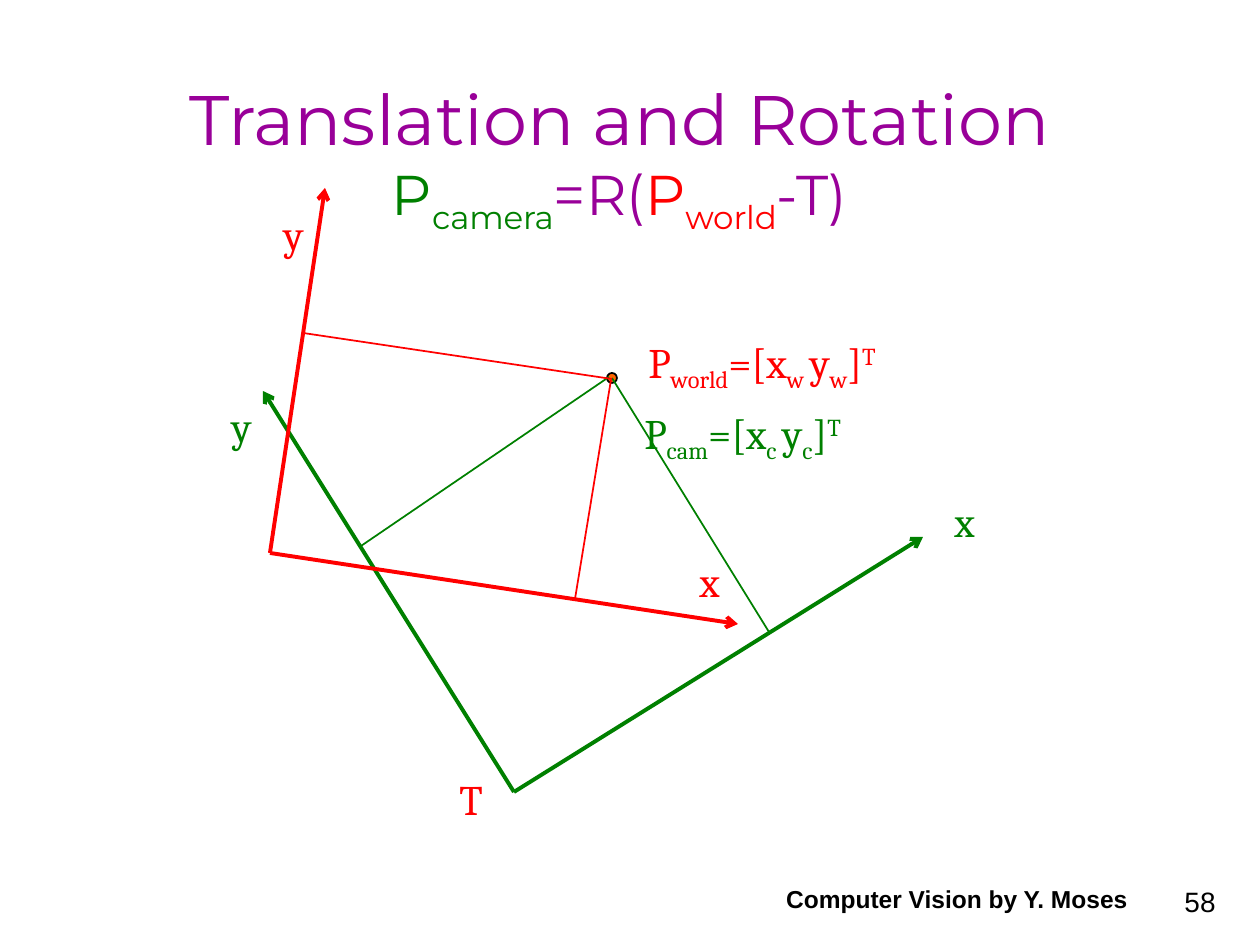
from pptx import Presentation
from pptx.dml.color import RGBColor
from pptx.enum.shapes import MSO_CONNECTOR, MSO_SHAPE
from pptx.enum.text import MSO_ANCHOR, MSO_AUTO_SIZE, PP_ALIGN
from pptx.oxml.ns import qn
from pptx.util import Pt
from lxml.etree import SubElement

PX = 914400 / 126
GREEN, RED, PURPLE, BLACK = "008000", "FF0000", "990099", "000000"
SUB, SUP = -25, 30
LEFT, MID, RIGHT = PP_ALIGN.LEFT, PP_ALIGN.CENTER, PP_ALIGN.RIGHT

# Runs: text, then any of color, size, base
TITLE = [
    ("Translation and Rotation\v", {"size": 40}),
    ("P", {"color": GREEN}), ("camera", {"color": GREEN, "base": SUB}),
    ("=R(", {}),
    ("P", {"color": RED}), ("world", {"color": RED, "base": SUB}),
    ("-T)", {}),
]


def vector(frame, axis):
    """Runs for a point's coordinates in the named frame."""
    return [("P", {}), (frame, {"base": SUB}), ("=[x", {}),
            (axis + " ", {"base": SUB}), ("y", {}), (axis, {"base": SUB}),
            ("]", {}), ("T", {"base": SUP})]


# Each frame: color, axes and drop lines as (x1, y1, x2, y2),
# labels as (runs, box, align)
CAMERA = {
    "color": GREEN,
    "axes": [(514, 792, 263, 391), (514, 792, 923, 537)],
    "drops": [(609, 377, 361, 546), (612, 378, 769, 632)],
    "labels": [("x", (920, 489, 67, 63), RIGHT),
               ("y", (197, 394, 67, 63), RIGHT),
               (vector("cam", "c"), (632, 401, 241, 64), LEFT)],
}
WORLD = {
    "color": RED,
    "axes": [(270, 553, 325, 188), (270, 553, 738, 624)],
    "drops": [(611, 380, 575, 599), (612, 379, 303, 333)],
    "labels": [("x", (665, 549, 67, 63), RIGHT),
               ("y", (249, 202, 67, 63), RIGHT),
               (vector("world", "w"), (636, 330, 275, 64), LEFT),
               ("T", (447, 767, 52, 64), LEFT)],
}
POINT = (607, 373, 10, 10)
FOOTER = [
    ("58", (966, 861, 262, 63), RIGHT, 16, False),
    ("Computer Vision by Y. Moses", (757, 857, 400, 63), MID, 14, True),
]


def px(*nums):
    return [round(n * PX) for n in nums]


def rgb(code):
    return RGBColor.from_string(code)


def write(shape, runs, font="Cambria", size=24, color=BLACK, bold=False,
          align=LEFT, anchor=MSO_ANCHOR.TOP):
    frame = shape.text_frame
    frame.word_wrap = True
    frame.auto_size = MSO_AUTO_SIZE.NONE
    frame.vertical_anchor = anchor
    para = frame.paragraphs[0]
    para.alignment = align
    for text, look in [(runs, {})] if isinstance(runs, str) else runs:
        run = para.add_run()
        run.text = text.rstrip("\v")
        run.font.name = font
        run.font.size = Pt(look.get("size", size))
        run.font.bold = bold
        run.font.color.rgb = rgb(look.get("color", color))
        if "base" in look:
            run.font._element.set("baseline", str(look["base"] * 1000))
        if text.endswith("\v"):
            para.add_line_break()


def label(slide, runs, box, **look):
    write(slide.shapes.add_textbox(*px(*box)), runs, **look)


def draw(slide, ends, color, width, arrow=False):
    line = slide.shapes.add_connector(MSO_CONNECTOR.STRAIGHT, *px(*ends))
    line.line.color.rgb = rgb(color)
    line.line.width = Pt(width)
    if arrow:
        SubElement(line.line._get_or_add_ln(), qn("a:tailEnd"), type="arrow")
    SubElement(line._element.spPr, qn("a:effectLst"))


def plot(slide, frame):
    color = frame["color"]
    for ends in frame["axes"]:
        draw(slide, ends, color, 2.25, arrow=True)
    for ends in frame["drops"]:
        draw(slide, ends, color, 1)
    for runs, box, align in frame["labels"]:
        label(slide, runs, box, color=color, align=align)


def main():
    deck = Presentation()
    deck.slide_width, deck.slide_height = px(1260, 945)
    slide = deck.slides.add_slide(deck.slide_layouts[5])

    title = slide.shapes.title
    title.left, title.top, title.width, title.height = px(84, 84, 1071, 158)
    write(title, TITLE, font="Montserrat", size=32, color=PURPLE,
          align=MID, anchor=MSO_ANCHOR.BOTTOM)

    for text, box, align, size, bold in FOOTER:
        label(slide, text, box, font="Arial", size=size, bold=bold,
              align=align, anchor=MSO_ANCHOR.BOTTOM)

    dot = slide.shapes.add_shape(MSO_SHAPE.OVAL, *px(*POINT))
    dot.shadow.inherit = False
    dot.fill.solid()
    dot.fill.fore_color.rgb = rgb("FF6600")
    dot.line.color.rgb = rgb(BLACK)
    dot.line.width = Pt(1)

    for frame in (CAMERA, WORLD):
        plot(slide, frame)
    deck.save("out.pptx")


if __name__ == "__main__":
    main()
